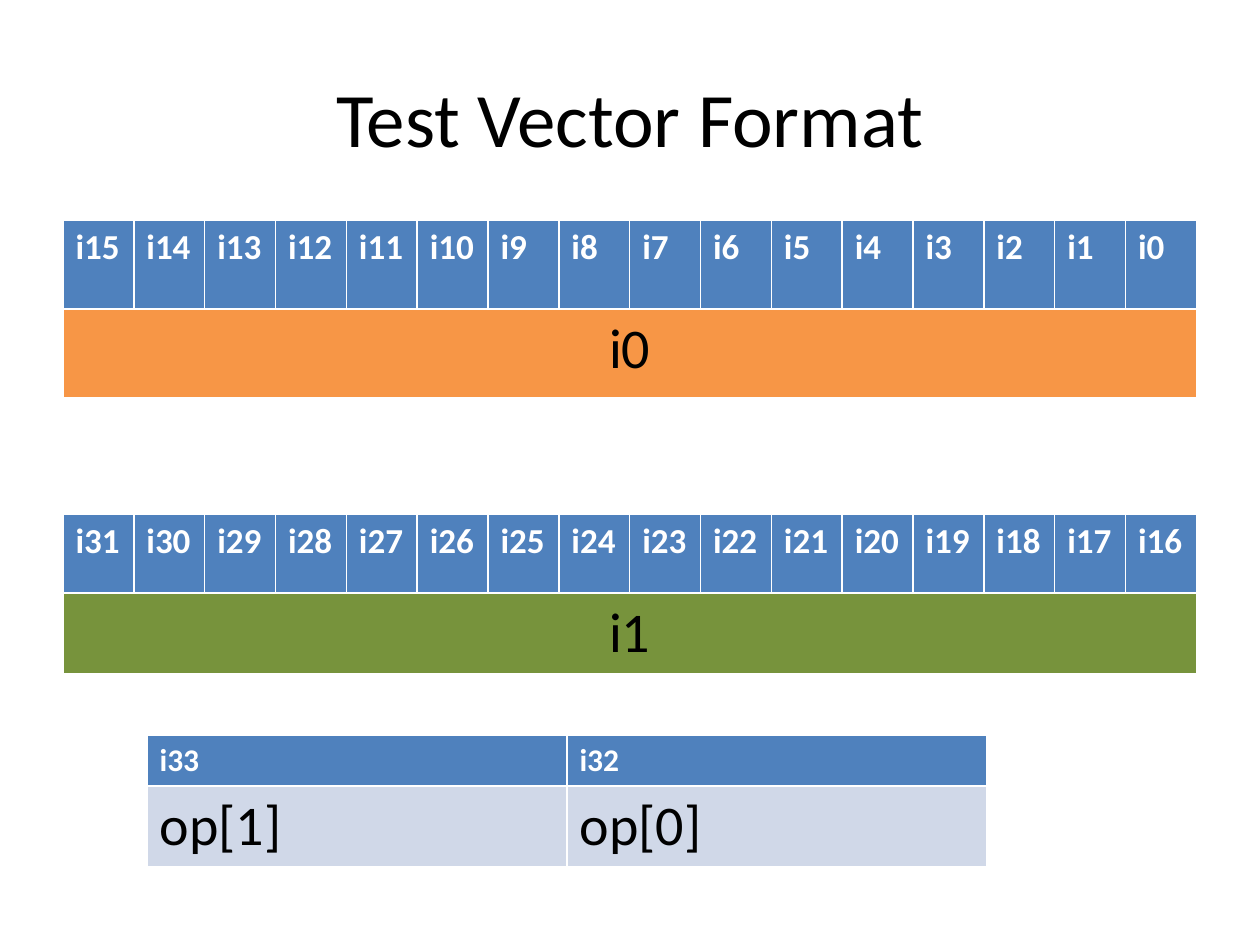
"""Build the Test Vector Format slide: three bit-field tables under a title."""
from pptx import Presentation
from pptx.dml.color import RGBColor
from pptx.enum.text import MSO_ANCHOR as Anchor, PP_ALIGN as Align
from pptx.util import Inches, Pt

WHITE = RGBColor(0xFF, 0xFF, 0xFF)
BLACK = RGBColor(0x00, 0x00, 0x00)
BLUE = RGBColor(0x4F, 0x81, 0xBD)
ORANGE = RGBColor(0xF7, 0x96, 0x46)
GREEN = RGBColor(0x77, 0x93, 0x3C)
PALE_BLUE = RGBColor(0xD0, 0xD8, 0xE8)

TITLE = "Test Vector Format"
TITLE_BOX = (63, 38, 1134, 158)
FIELDS = [
    {"bits": range(15, -1, -1), "values": ["i0"], "fill": ORANGE, "bit_size": 20,
     "box": (63, 220, 1134), "rows": (89, 89), "align": Align.CENTER},
    {"bits": range(31, 15, -1), "values": ["i1"], "fill": GREEN, "bit_size": 20,
     "box": (63, 514, 1134), "rows": (79, 79), "align": Align.CENTER},
    {"bits": range(33, 31, -1), "values": ["op[1]", "op[0]"], "fill": PALE_BLUE, "bit_size": 18,
     "box": (147, 735, 840), "rows": (51, 80), "align": Align.LEFT},
]


def px(length):
    return round(length * Inches(1) / 126)


def write(frame, text, size, color, bold=False, align=Align.LEFT):
    paragraph = frame.paragraphs[0]
    paragraph.alignment = align
    run = paragraph.add_run()
    run.text = text
    run.font.color.rgb = color
    for name, value in {"name": "Calibri", "size": Pt(size), "bold": bold}.items():
        setattr(run.font, name, value)


def fill_cell(cell, color):
    cell.fill.solid()
    cell.fill.fore_color.rgb = color


def add_field(slide, field):
    bits, values = field["bits"], field["values"]
    left, top, width = map(px, field["box"])
    heights = [px(height) for height in field["rows"]]
    grid = slide.shapes.add_table(2, len(bits), left, top, width, sum(heights)).table
    for row, height in zip(grid.rows, heights):
        row.height = height
    for column, bit in enumerate(bits):
        grid.columns[column].width = width // len(bits)
        header = grid.cell(0, column)
        fill_cell(header, BLUE)
        write(header.text_frame, f"i{bit}", field["bit_size"], WHITE, bold=True)
    span = len(bits) // len(values)
    for index, value in enumerate(values):
        cell = grid.cell(1, index * span)
        if span > 1:
            cell.merge(grid.cell(1, (index + 1) * span - 1))
        fill_cell(cell, field["fill"])
        write(cell.text_frame, value, 32, BLACK, align=field["align"])


def main():
    deck = Presentation()
    deck.slide_width, deck.slide_height = Inches(10), Inches(7.5)
    slide = deck.slides.add_slide(deck.slide_layouts[5])
    title = slide.shapes.title
    for side, length in zip(("left", "top", "width", "height"), TITLE_BOX):
        setattr(title, side, px(length))
    title.text_frame.vertical_anchor = Anchor.MIDDLE
    write(title.text_frame, TITLE, 44, BLACK, align=Align.CENTER)
    for field in FIELDS:
        add_field(slide, field)
    deck.save("out.pptx")


if __name__ == "__main__":
    main()
